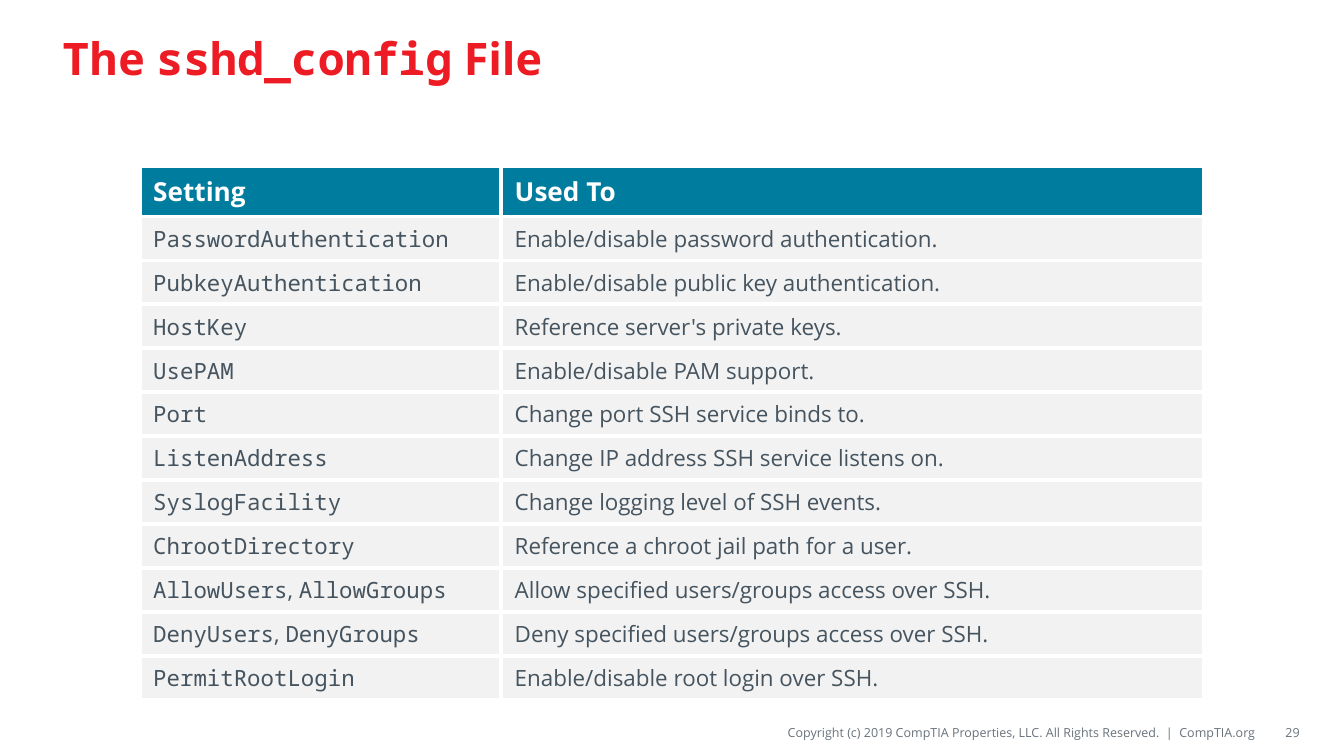
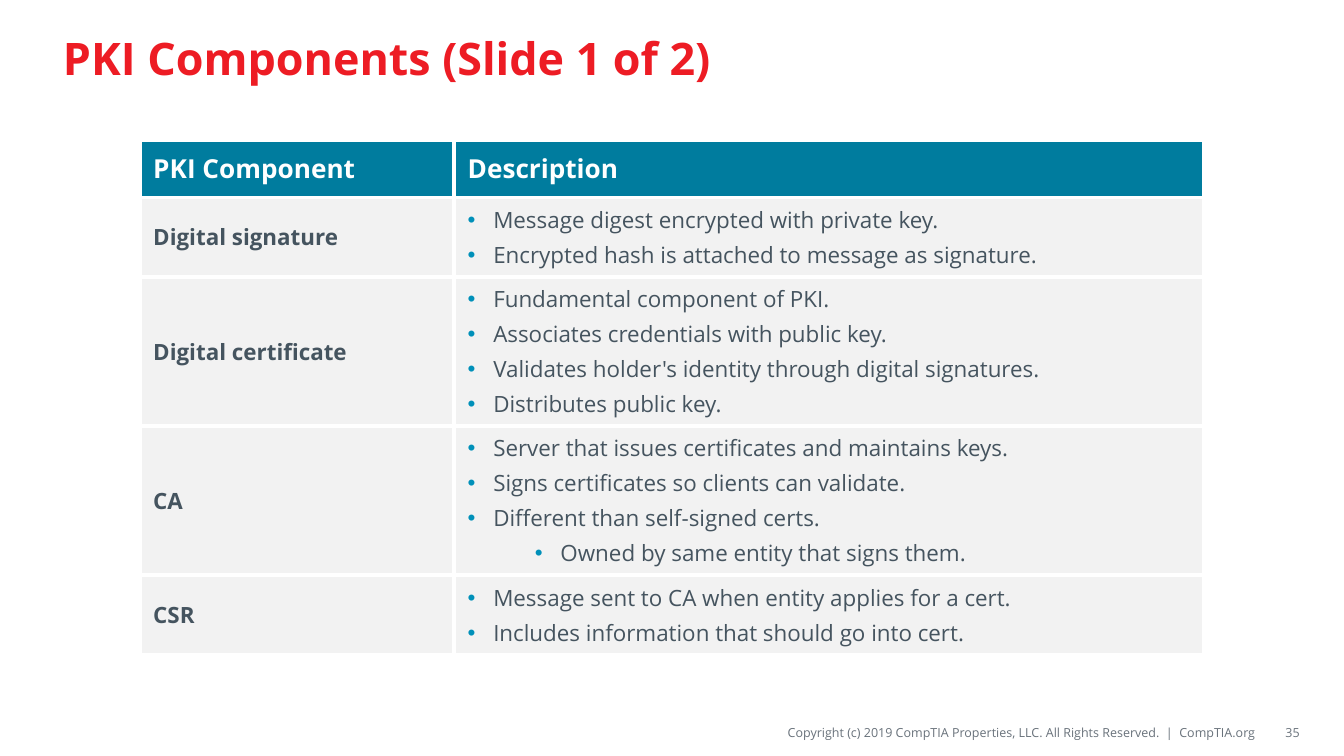
import lxml.etree
import pptx
import pptx.dml.color
import pptx.enum.text
import pptx.oxml.ns
import pptx.util

Inches = pptx.util.Inches
ALIGN = pptx.enum.text.PP_ALIGN
MIDDLE = pptx.enum.text.MSO_ANCHOR.MIDDLE

COLORS = {
    "title": "ED1C24",
    "header": "007C9E",
    "header_text": "FFFFFF",
    "row": "F2F2F2",
    "body": "45545F",
    "bullet": "0090B9",
    "border": "FFFFFF",
    "footer": "69727B",
}
TEXT_FONT = "Open Sans"
CODE_FONT = "Noto Sans Mono"
STYLES = {
    "title": {"size": pptx.util.Pt(24), "bold": True},
    "header_text": {"size": pptx.util.Pt(14), "bold": True},
    "body": {"size": pptx.util.Pt(12), "bold": False},
    "term": {"size": pptx.util.Pt(12), "bold": True},
    "footer": {"size": pptx.util.Pt(6.75), "bold": False},
}
STYLE_COLORS = {"term": "body"}

TITLE_BOX = (0.37, 0.08, 9.25, 0.69)
FOOTER_BOX = (3.88, 5.34, 5.47, 0.22)
NUMBER_BOX = (9.38, 5.34, 0.29, 0.22)
COPYRIGHT = "Copyright (c) 2019 CompTIA Properties, LLC. All Rights Reserved.  |  CompTIA.org"

SETTINGS = [
    ("`PasswordAuthentication`", "Enable/disable password authentication."),
    ("`PubkeyAuthentication`", "Enable/disable public key authentication."),
    ("`HostKey`", "Reference server's private keys."),
    ("`UsePAM`", "Enable/disable PAM support."),
    ("`Port`", "Change port SSH service binds to."),
    ("`ListenAddress`", "Change IP address SSH service listens on."),
    ("`SyslogFacility`", "Change logging level of SSH events."),
    ("`ChrootDirectory`", "Reference a chroot jail path for a user."),
    ("`AllowUsers`, `AllowGroups`", "Allow specified users/groups access over SSH."),
    ("`DenyUsers`, `DenyGroups`", "Deny specified users/groups access over SSH."),
    ("`PermitRootLogin`", "Enable/disable root login over SSH."),
]
COMPONENTS = [
    ("Digital signature", [
        (0, "Message digest encrypted with private key."),
        (0, "Encrypted hash is attached to message as signature."),
    ]),
    ("Digital certificate", [
        (0, "Fundamental component of PKI."),
        (0, "Associates credentials with public key."),
        (0, "Validates holder's identity through digital signatures."),
        (0, "Distributes public key."),
    ]),
    ("CA", [
        (0, "Server that issues certificates and maintains keys."),
        (0, "Signs certificates so clients can validate."),
        (0, "Different than self-signed certs."),
        (1, "Owned by same entity that signs them."),
    ]),
    ("CSR", [
        (0, "Message sent to CA when entity applies for a cert."),
        (0, "Includes information that should go into cert."),
    ]),
]


def rgb(name):
    """Return the named colour."""
    return pptx.dml.color.RGBColor.from_string(COLORS[name])


def write_text(para, text, style):
    """Write text in a style, with pieces between backticks in the code font."""
    for index, piece in enumerate(text.split("`")):
        if piece:
            span = para.add_run()
            span.text = piece
            span.font.name = CODE_FONT if index % 2 else TEXT_FONT
            span.font.color.rgb = rgb(STYLE_COLORS.get(style, style))
            for name, value in STYLES[style].items():
                setattr(span.font, name, value)


def add_bullet(para, level):
    """Give a paragraph a hanging coloured bullet at a level."""
    para.level = level
    properties = para._p.get_or_add_pPr()
    properties.set("marL", str(Inches(0.19 + 0.5 * level)))
    properties.set("indent", str(Inches(-0.19)))
    qn = pptx.oxml.ns.qn
    color = lxml.etree.SubElement(properties, qn("a:buClr"))
    lxml.etree.SubElement(color, qn("a:srgbClr"), val=COLORS["bullet"])
    lxml.etree.SubElement(properties, qn("a:buFont"), typeface="Arial")
    lxml.etree.SubElement(properties, qn("a:buChar"), char="•")


def add_label(page, box, text, style, align, margins):
    """Add a vertically centred line of text in a box."""
    frame = page.shapes.add_textbox(*map(Inches, box)).text_frame
    left, top, right, bottom = map(Inches, margins)
    layout = {
        "word_wrap": True,
        "vertical_anchor": MIDDLE,
        "margin_left": left,
        "margin_top": top,
        "margin_right": right,
        "margin_bottom": bottom,
    }
    for name, value in layout.items():
        setattr(frame, name, value)
    para = frame.paragraphs[0]
    para.alignment = align
    write_text(para, text, style)


def add_frame(page, title, number):
    """Add the title, copyright line and page number."""
    add_label(page, FOOTER_BOX, COPYRIGHT, "footer", ALIGN.RIGHT, (0, 0.04, 0, 0.04))
    add_label(page, TITLE_BOX, title, "title", ALIGN.LEFT, (0.1, 0.05, 0.1, 0.05))
    add_label(page, NUMBER_BOX, str(number), "footer", ALIGN.RIGHT, (0.1, 0.05, 0, 0.05))


def style_cell(cell, fill):
    """Give a cell its borders, fill and anchor."""
    qn = pptx.oxml.ns.qn
    properties = cell._tc.get_or_add_tcPr()
    for side in ("a:lnL", "a:lnR", "a:lnT", "a:lnB"):
        line = lxml.etree.SubElement(properties, qn(side), w=str(pptx.util.Pt(2.25)))
        paint = lxml.etree.SubElement(line, qn("a:solidFill"))
        lxml.etree.SubElement(paint, qn("a:srgbClr"), val=COLORS["border"])
    cell.fill.solid()
    cell.fill.fore_color.rgb = rgb(fill)
    cell.vertical_anchor = MIDDLE


def fill_cell(cell, content, style):
    """Write a plain line or a list of bullets into a cell."""
    frame = cell.text_frame
    if isinstance(content, str):
        write_text(frame.paragraphs[0], content, style)
        return
    for index, (level, text) in enumerate(content):
        para = frame.add_paragraph() if index else frame.paragraphs[0]
        if index:
            para.space_before = pptx.util.Pt(2.4)
        add_bullet(para, level)
        write_text(para, text, style)


def add_grid(page, corner, widths, heights, header, rows, first_style):
    """Add a two-column table with a coloured header row."""
    lines = [header, *rows]
    box = (*corner, sum(widths), sum(heights))
    table = page.shapes.add_table(len(lines), len(widths), *map(Inches, box)).table
    table.horz_banding = False
    for column, width in zip(table.columns, widths):
        column.width = Inches(width)
    for row, height in zip(table.rows, heights):
        row.height = Inches(height)
    for row_index, line in enumerate(lines):
        styles = (first_style, "body") if row_index else ("header_text",) * 2
        for column_index, content in enumerate(line):
            cell = table.cell(row_index, column_index)
            style_cell(cell, "row" if row_index else "header")
            fill_cell(cell, content, styles[column_index])


def add_table_page(deck, title, number, **grid):
    """Add a page with a title, a table and a footer."""
    page = deck.slides.add_slide(deck.slide_layouts[6])
    add_frame(page, title, number)
    add_grid(page, **grid)


def main():
    """Build and save the deck."""
    deck = pptx.Presentation()
    deck.slide_width = Inches(10)
    deck.slide_height = Inches(10 * 9 / 16)
    add_table_page(
        deck, "The `sshd_config` File", 29,
        corner=(1.04, 1.24), widths=(2.69, 5.23),
        heights=[0.37] + [3.6 / len(SETTINGS)] * len(SETTINGS),
        header=("Setting", "Used To"), rows=SETTINGS, first_style="body",
    )
    add_table_page(
        deck, "PKI Components (Slide 1 of 2)", 35,
        corner=(1.04, 1.04), widths=(2.34, 5.58),
        heights=(0.43, 0.59, 1.11, 1.11, 0.59),
        header=("PKI Component", "Description"), rows=COMPONENTS, first_style="term",
    )
    deck.save("out.pptx")


if __name__ == "__main__":
    main()
